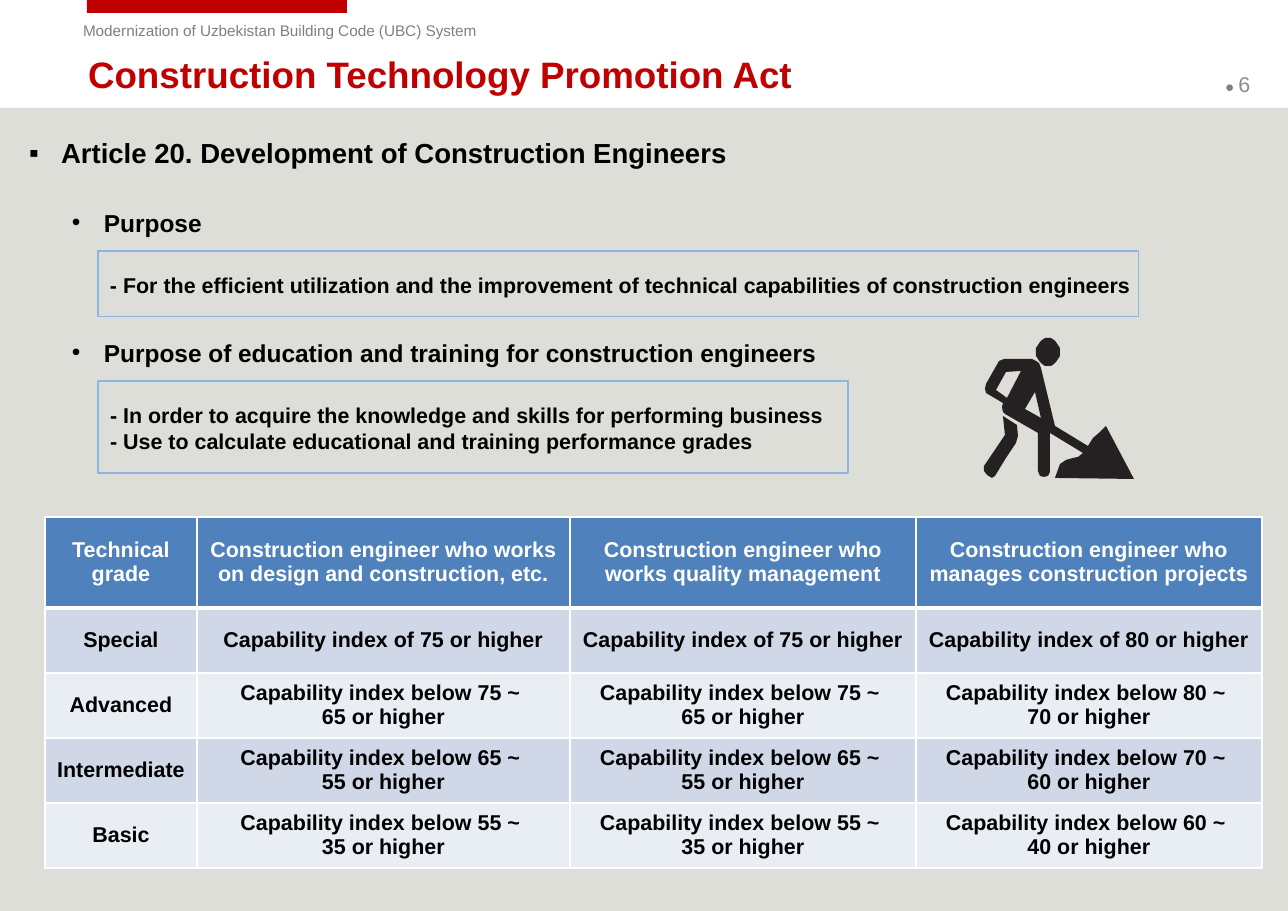
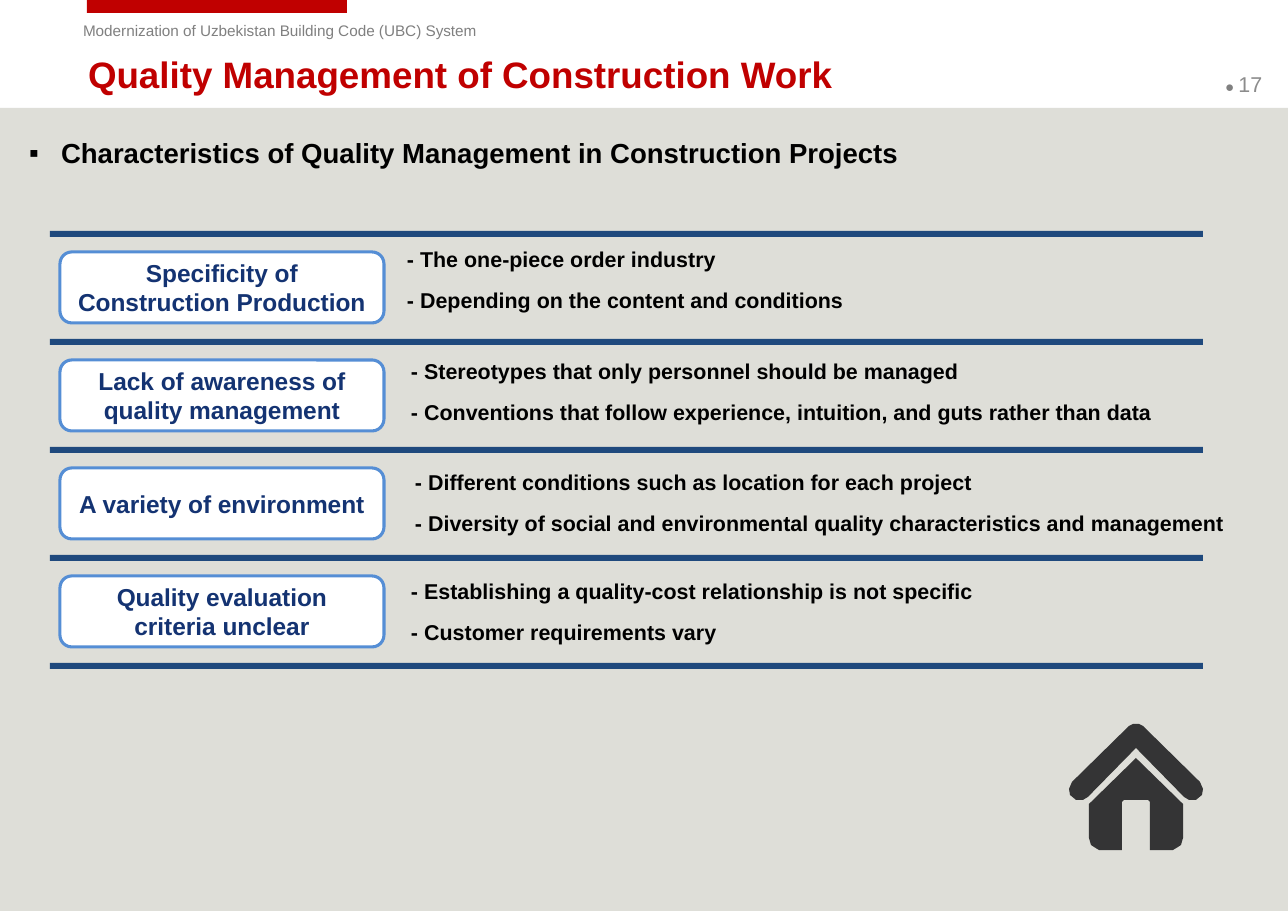
from collections import namedtuple
from dataclasses import dataclass
from math import cos, pi, sin

from lxml.etree import SubElement
from pptx import Presentation
from pptx.dml.color import RGBColor
from pptx.enum.shapes import MSO_SHAPE
from pptx.enum.text import MSO_ANCHOR, PP_ALIGN
from pptx.oxml import parse_xml
from pptx.oxml.ns import nsdecls, qn
from pptx.util import Emu, Pt

EMU_PER_PX = 914400 / 110.2
PAGE_WIDTH, PAGE_HEIGHT = 1288, 911

Box = namedtuple("Box", "left top width height")


@dataclass(frozen=True)
class Theme:
    font: str = "Arial"
    # Colours
    accent: str = "C00000"
    canvas: str = "DEDED8"
    muted: str = "808080"
    number: str = "8C8C8C"
    ink: str = "000000"
    white: str = "FFFFFF"
    navy: str = "143372"
    rule: str = "1F497D"
    frame: str = "8EB4E3"
    label_line: str = "558ED5"
    header_fill: str = "4F81BD"
    bands: tuple = ("D0D8E8", "E9EDF4")
    digger: str = "252122"
    house: str = "343435"
    # Type sizes
    small: int = 10
    text: int = 14
    topic: int = 16
    heading: int = 18
    title: int = 24


THEME = Theme()


def px(length):
    return Emu(round(length * EMU_PER_PX))


def emu_box(box):
    return [px(length) for length in box]


def style_span(span, size, color, bold):
    span.font.name = THEME.font
    span.font.size = Pt(size)
    span.font.bold = bold
    span.font.color.rgb = RGBColor.from_string(color)


def write(frame, lines, size, color=THEME.ink, bold=True, align=PP_ALIGN.LEFT,
          anchor=MSO_ANCHOR.TOP, margins=(11, 6, 11, 6), gap=0):
    """Fill a text frame with one paragraph per line."""
    frame.word_wrap = True
    frame.vertical_anchor = anchor
    (frame.margin_left, frame.margin_top,
     frame.margin_right, frame.margin_bottom) = emu_box(margins)
    frame.text = "\n".join(lines)
    for index, para in enumerate(frame.paragraphs):
        para.alignment = align
        if index and gap:
            para.space_before = Pt(gap)
        for span in para.runs:
            style_span(span, size, color, bold)


def add_text(page, box, lines, size, **style):
    frame = page.shapes.add_textbox(*emu_box(box)).text_frame
    write(frame, lines, size, **style)
    return frame


def paint(shape, fill=None, line=None, line_width=1):
    shape.shadow.inherit = False
    if fill:
        shape.fill.solid()
        shape.fill.fore_color.rgb = RGBColor.from_string(fill)
    else:
        shape.fill.background()
    if line:
        shape.line.color.rgb = RGBColor.from_string(line)
        shape.line.width = Pt(line_width)
    else:
        shape.line.fill.background()


def add_panel(page, box, kind=MSO_SHAPE.RECTANGLE, **look):
    shape = page.shapes.add_shape(kind, *emu_box(box))
    paint(shape, **look)
    return shape


def add_outline(shapes, box, contours, fill):
    """Draw closed contours, given in px from the corner of the box."""
    first = contours[0]
    builder = shapes.build_freeform(*first[0], scale=EMU_PER_PX)
    builder.add_line_segments(first[1:], close=True)
    for contour in contours[1:]:
        builder.move_to(*contour[0])
        builder.add_line_segments(contour[1:], close=True)
    paint(builder.convert_to_shape(px(box.left), px(box.top)), fill=fill)


# Parts shared by every slide
def add_base(deck, title, number, heading):
    page = deck.slides.add_slide(deck.slide_layouts[6])
    add_panel(page, Box(0, 108, PAGE_WIDTH, PAGE_HEIGHT - 108), fill=THEME.canvas)
    add_panel(page, Box(87, 0, 260, 13), fill=THEME.accent)
    add_text(page, Box(72, 15, 516, 30),
             ["Modernization of Uzbekistan Building Code (UBC) System"],
             THEME.small, color=THEME.muted, bold=False)
    add_text(page, Box(76, 46, 1130, 56), [title], THEME.title,
             color=THEME.accent, anchor=MSO_ANCHOR.MIDDLE, margins=(12, 6, 12, 6))
    frame = add_text(page, Box(1213, 60, 75, 48), ["● "], THEME.small,
                     color=THEME.muted, bold=False,
                     anchor=MSO_ANCHOR.MIDDLE, margins=(12, 7, 12, 7))
    span = frame.paragraphs[0].add_run()
    span.text = str(number)
    style_span(span, THEME.text, THEME.number, False)
    add_bullet(page, Box(17, 129, 1254, 48), heading, "▪", THEME.heading)
    return page


def add_bullet(page, box, text, bullet, size):
    """A bulleted heading with a hanging indent."""
    frame = add_text(page, box, [text], size, margins=(12, 7, 12, 7))
    properties = frame.paragraphs[0]._p.get_or_add_pPr()
    properties.set("marL", str(px(32)))
    properties.set("indent", str(px(-32)))
    SubElement(properties, qn("a:buFont")).set("typeface", THEME.font)
    SubElement(properties, qn("a:buChar")).set("char", bullet)


# Topic with a framed statement below it
def add_topic(page, box, topic, lines):
    add_bullet(page, Box(60, box.top - 50, 860, 44), topic, "•", THEME.topic)
    panel = add_panel(page, box, line=THEME.frame, line_width=0.75)
    write(panel.text_frame, lines, THEME.text, anchor=MSO_ANCHOR.MIDDLE,
          margins=(12, 6, 0, 4))


# Grade table
def set_borders(cell, widths):
    properties = cell._tc.get_or_add_tcPr()
    for index, (side, width) in enumerate(zip("LRTB", widths)):
        properties.insert(index, parse_xml(
            f'<a:ln{side} {nsdecls("a")} w="{Pt(width)}"><a:solidFill>'
            f'<a:srgbClr val="{THEME.white}"/></a:solidFill></a:ln{side}>'))


def grade_rows():
    rows = [["Technical grade",
             "Construction engineer who works on design and construction, etc.",
             "Construction engineer who works quality management",
             "Construction engineer who manages construction projects"]]
    design = (75, 65, 55, 35)
    floors = (design, design, (80, 70, 60, 40))
    for level, grade in enumerate(("Special", "Advanced", "Intermediate", "Basic")):
        if level == 0:
            limits = [f"Capability index of {floor[0]} or higher" for floor in floors]
        else:
            limits = [f"Capability index below {floor[level - 1]} ~ \n"
                      f"{floor[level]} or higher" for floor in floors]
        rows.append([grade] + limits)
    return rows


def add_grade_table(page, box):
    rows = grade_rows()
    table = page.shapes.add_table(len(rows), len(rows[0]), *emu_box(box)).table
    for column, width in zip(table.columns, (152, 373, 346, 346)):
        column.width = px(width)
    for index, row in enumerate(rows):
        table.rows[index].height = px(65 if index else 91)
        color = THEME.ink if index else THEME.white
        fill = THEME.bands[(index - 1) % 2] if index else THEME.header_fill
        for position, text in enumerate(row):
            cell = table.cell(index, position)
            write(cell.text_frame, text.split("\n"), THEME.text, color=color,
                  align=PP_ALIGN.CENTER)
            cell.vertical_anchor = MSO_ANCHOR.MIDDLE
            cell.fill.solid()
            cell.fill.fore_color.rgb = RGBColor.from_string(fill)
            set_borders(cell, (1, 1, 3 if index == 1 else 1, 1 if index else 3))


# Icons
def add_digger(page, box):
    back_leg = [(33, 87), (19, 78), (21, 97), (0, 128), (0, 133), (3, 137),
                (8, 140), (11, 138), (22, 120), (32, 105), (34, 98)]
    body = [(122, 88), (116, 94), (109, 100), (104, 108), (71, 88), (57, 30),
            (55, 25), (52, 23), (48, 21), (20, 21), (15, 23), (2, 46), (1, 51),
            (2, 55), (19, 65), (18, 69), (19, 74), (21, 76), (54, 95), (54, 133),
            (56, 138), (60, 139), (64, 138), (66, 134), (66, 95), (99, 115),
            (94, 119), (89, 120), (82, 122), (76, 126), (71, 140), (150, 141)]
    arm_gap = [(23, 60), (12, 52), (22, 34), (37, 33)]
    waist_gap = [(41, 71), (51, 54), (57, 80)]
    head = [(round(64 + 12 * cos(step * pi / 12)), round(14 + 14 * sin(step * pi / 12)))
            for step in range(24)]
    add_outline(page.shapes, box, [back_leg, body, arm_gap, waist_gap, head],
                THEME.digger)


def add_house(page, box):
    roof = [(67, 0), (64, 0), (60, 2), (3, 58), (0, 65), (1, 71), (7, 76),
            (14, 76), (19, 73), (67, 24)]
    walls = [(67, 34), (65, 36), (20, 80), (20, 114), (22, 121), (25, 123),
             (30, 126), (53, 126), (53, 78), (55, 76)]
    group = page.shapes.add_group_shape()
    for half in (walls, roof):
        mirrored = [(box.width - x, y) for x, y in reversed(half)]
        add_outline(group.shapes, box, [half + mirrored], THEME.house)


# Ruled rows of label and notes
def add_characteristics(page, box, rows):
    pitch = box.height // len(rows)
    for index in range(len(rows) + 1):
        add_panel(page, Box(box.left, box.top + index * pitch, box.width, 6),
                  fill=THEME.rule)
    for index, (label, notes, note_left, note_top) in enumerate(rows):
        top = box.top + index * pitch
        panel = add_panel(page, Box(box.left + 10, top + 21, 324, 71),
                          MSO_SHAPE.ROUNDED_RECTANGLE, fill=THEME.white,
                          line=THEME.label_line, line_width=2)
        write(panel.text_frame, [label], THEME.topic, color=THEME.navy,
              align=PP_ALIGN.CENTER, anchor=MSO_ANCHOR.MIDDLE,
              margins=(11, 2, 11, 2))
        add_text(page, Box(box.left + note_left, top + note_top, 850, 79), notes,
                 THEME.text, gap=10)


def add_engineers_page(deck):
    page = add_base(deck, "Construction Technology Promotion Act", 6,
                    "Article 20. Development of Construction Engineers")
    add_topic(page, Box(98, 251, 1041, 66), "Purpose", [
        "- For the efficient utilization and the improvement of technical "
        "capabilities of construction engineers"])
    add_topic(page, Box(98, 381, 750, 92),
              "Purpose of education and training for construction engineers", [
                  "- In order to acquire the knowledge and skills for performing business",
                  "- Use to calculate educational and training performance grades"])
    add_digger(page, Box(984, 338, 150, 141))
    add_grade_table(page, Box(45, 517, 1217, 351))


def add_quality_page(deck):
    page = add_base(deck, "Quality Management of Construction Work", 17,
                    "Characteristics of Quality Management in Construction Projects")
    add_characteristics(page, Box(50, 231, 1153, 432), [
        ("Specificity of Construction Production",
         ["- The one-piece order industry",
          "- Depending on the content and conditions"], 346, 9),
        ("Lack of awareness of quality management",
         ["- Stereotypes that only personnel should be managed",
          "- Conventions that follow experience, intuition, and guts rather than data"],
         350, 13),
        ("A variety of environment",
         ["- Different conditions such as location for each project",
          "- Diversity of social and environmental quality characteristics and management"],
         354, 16),
        ("Quality evaluation criteria unclear",
         ["- Establishing a quality-cost relationship is not specific",
          "- Customer requirements vary"], 350, 17)])
    add_house(page, Box(1069, 724, 134, 126))


def main():
    deck = Presentation()
    deck.slide_width, deck.slide_height = px(PAGE_WIDTH), px(PAGE_HEIGHT)
    add_engineers_page(deck)
    add_quality_page(deck)
    deck.save("out.pptx")


if __name__ == "__main__":
    main()
